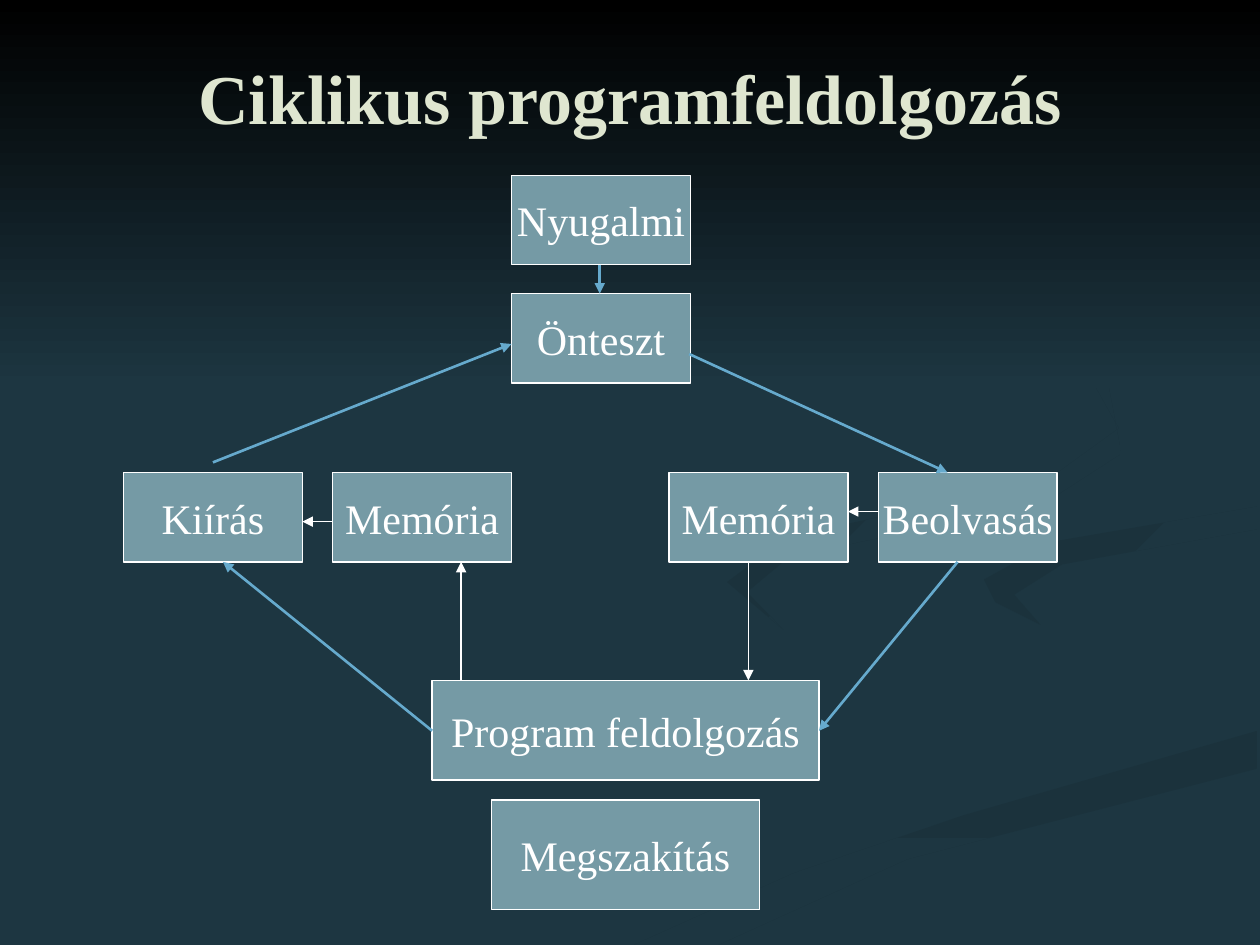
from dataclasses import dataclass

from lxml import etree
from pptx import Presentation
from pptx.dml.color import RGBColor
from pptx.enum.shapes import MSO_CONNECTOR, MSO_SHAPE
from pptx.enum.text import MSO_ANCHOR, PP_ALIGN
from pptx.oxml.ns import qn
from pptx.util import Inches, Pt

RECTANGLE = MSO_SHAPE.RECTANGLE
STRAIGHT = MSO_CONNECTOR.STRAIGHT
MIDDLE = MSO_ANCHOR.MIDDLE
CENTER = PP_ALIGN.CENTER

FONT = "Times New Roman"
BACKGROUND = "1D3641"
RIBBON_DARK = "1B323C"
BOX_FILL = "759AA5"
WHITE = "FFFFFF"
BLUE = "66AACD"
TITLE_COLOR = "DFE6D0"
BOX_WIDTH, BOX_HEIGHT = 1.42, 0.71
CENTER_LEFT, ROW_TOP = 4.06, 3.75
ROW_BOTTOM = ROW_TOP + BOX_HEIGHT
PROGRAM_TOP = 5.4

Point = tuple[float, float]


@dataclass
class Ribbon:
    start_color: str
    end_color: str
    angle: int
    points: list[Point]


@dataclass
class Box:
    text: str
    left: float
    top: float
    width: float = BOX_WIDTH
    height: float = BOX_HEIGHT


@dataclass
class Arrow:
    start: Point
    end: Point
    color: str = BLUE
    width: float = 1.5


RIBBONS = [
    Ribbon(BACKGROUND, "1C343E", 0, [
        (7.8, 5.5), (6.4, 5.1), (5.75, 4.6), (5.8, 4.85), (7.3, 5.35), (7.85, 5.65),
        (7.4, 6), (5.4, 6.5), (3, 7.5), (3.6, 7.5), (5.3, 6.75), (7.4, 6.2), (8, 5.8)]),
    Ribbon(BACKGROUND, "1C343E", 45, [
        (9.43, 5.7), (9.05, 5.4), (7.6, 5), (7.24, 4.64), (7.45, 5), (8.7, 5.45),
        (9.18, 5.8), (8.94, 6.05), (9.35, 5.87)]),
    Ribbon(RIBBON_DARK, BACKGROUND, 90, [
        (5.03, 7.5), (5.7, 7.5), (7.2, 6.82), (9.98, 6.1), (9.98, 5.8), (7.65, 6.47),
        (6.3, 6.93)]),
    Ribbon(RIBBON_DARK, BACKGROUND, 45, [
        (7.81, 4.6), (7.9, 4.78), (8.26, 4.96), (8.05, 4.72), (8.43, 4.48), (9.98, 4.2),
        (9.98, 4.02), (8.35, 4.3)]),
    Ribbon(RIBBON_DARK, BACKGROUND, 45, [
        (6.83, 4.3), (8.25, 4.02), (8.9, 3.6), (8.8, 3.07), (7.62, 2.33), (8.6, 2.9),
        (8.88, 3.4), (8.3, 3.82), (6.25, 4.26), (5.77, 4.62), (6.22, 5), (5.93, 4.7),
        (6.24, 4.44)]),
]

BOXES = [
    Box("Nyugalmi", CENTER_LEFT, 1.39),
    Box("Önteszt", CENTER_LEFT, 2.33),
    Box("Beolvasás", 6.97, ROW_TOP),
    Box("Memória", 5.31, ROW_TOP),
    Box("Kiírás", 0.98, ROW_TOP),
    Box("Memória", 2.64, ROW_TOP),
    Box("Program feldolgozás", 3.43, PROGRAM_TOP, 3.07, 0.79),
    Box("Megszakítás", 3.9, 6.35, 2.13, 0.87),
]

ARROWS = [
    Arrow((5.47, 2.81), (7.52, ROW_TOP)),
    Arrow((7.6, ROW_BOTTOM), (6.5, 5.8)),
    Arrow((3.43, 5.8), (1.77, ROW_BOTTOM)),
    Arrow((1.69, 3.67), (CENTER_LEFT, 2.73)),
    Arrow((4.76, 2.1), (4.76, 2.33)),
    Arrow((6.97, 4.06), (6.73, 4.06), WHITE, 0.75),
    Arrow((2.64, 4.14), (2.4, 4.14), WHITE, 0.75),
    Arrow((5.94, ROW_BOTTOM), (5.94, PROGRAM_TOP), WHITE, 0.75),
    Arrow((3.66, PROGRAM_TOP), (3.66, ROW_BOTTOM), WHITE, 0.75),
]


def color(value: str) -> RGBColor:
    return RGBColor.from_string(value)


def write_text(shape, text: str, size: float, text_color: str, bold: bool, wrap: bool) -> None:
    frame = shape.text_frame
    frame.word_wrap = wrap
    frame.vertical_anchor = MIDDLE
    paragraph = frame.paragraphs[0]
    paragraph.text = text
    paragraph.alignment = CENTER
    font = paragraph.font
    font.name, font.size, font.bold = FONT, Pt(size), bold
    font.color.rgb = color(text_color)


def paint_gradient(shape, start_color: str, end_color: str, angle: int) -> None:
    shape.shadow.inherit = False
    shape.line.fill.background()
    shape.fill.gradient()
    shape.fill.gradient_angle = (360 - angle) % 360
    for position, (stop, value) in enumerate(zip(shape.fill.gradient_stops, (start_color, end_color))):
        stop.position = position
        stop.color.rgb = color(value)


def draw_ribbon(slide, ribbon: Ribbon) -> None:
    points = [(Inches(x), Inches(y)) for x, y in ribbon.points]
    builder = slide.shapes.build_freeform(*points[0])
    builder.add_line_segments(points[1:], close=True)
    paint_gradient(builder.convert_to_shape(), ribbon.start_color, ribbon.end_color, ribbon.angle)


def draw_box(slide, box: Box) -> None:
    shape = slide.shapes.add_shape(
        RECTANGLE, Inches(box.left), Inches(box.top), Inches(box.width), Inches(box.height))
    shape.shadow.inherit = False
    shape.fill.solid()
    shape.fill.fore_color.rgb = color(BOX_FILL)
    shape.line.color.rgb = color(WHITE)
    shape.line.width = Pt(0.75)
    write_text(shape, box.text, 24, WHITE, False, False)


def draw_arrow(slide, arrow: Arrow) -> None:
    ends = [Inches(value) for value in (*arrow.start, *arrow.end)]
    connector = slide.shapes.add_connector(STRAIGHT, *ends)
    connector.line.color.rgb = color(arrow.color)
    connector.line.width = Pt(arrow.width)
    properties = connector._element.spPr
    etree.SubElement(properties.find(qn("a:ln")), qn("a:tailEnd"), type="triangle")
    etree.SubElement(properties, qn("a:effectLst"))


presentation = Presentation()
presentation.slide_width = Inches(10)
presentation.slide_height = Inches(7.5)
slide = presentation.slides.add_slide(presentation.slide_layouts[6])
slide.background.fill.solid()
slide.background.fill.fore_color.rgb = color(BACKGROUND)

for ribbon in RIBBONS:
    draw_ribbon(slide, ribbon)
top_band = slide.shapes.add_shape(RECTANGLE, 0, 0, Inches(10), Inches(3.08))
paint_gradient(top_band, "000000", BACKGROUND, 90)
title = slide.shapes.add_textbox(Inches(0.5), Inches(0.3), Inches(9), Inches(0.93))
write_text(title, "Ciklikus programfeldolgozás", 40, TITLE_COLOR, True, True)
for box in BOXES:
    draw_box(slide, box)
for arrow in ARROWS:
    draw_arrow(slide, arrow)

presentation.save("out.pptx")
